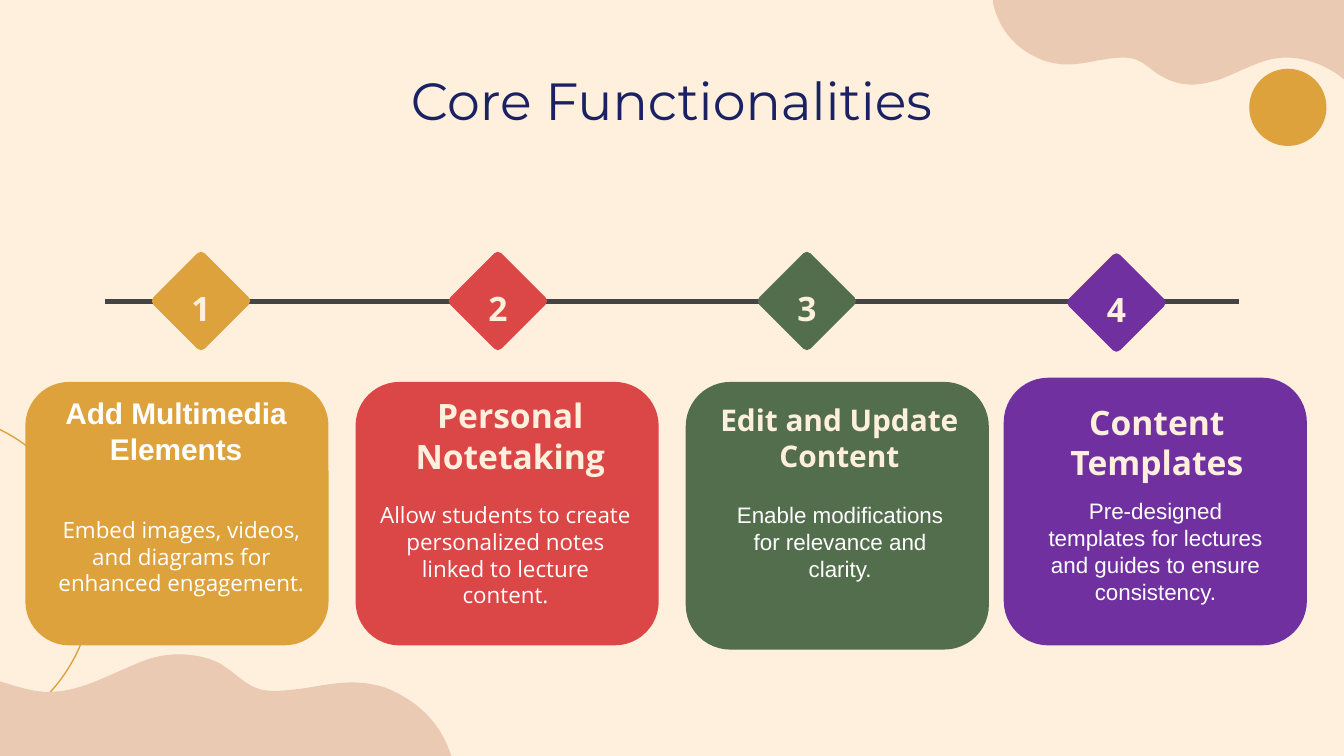
from pptx import Presentation
from pptx.dml.color import RGBColor
from pptx.enum import shapes, text
from pptx.oxml.ns import qn
from pptx.util import Cm, Pt
from lxml import etree

COLORS = dict(cream="FFF0DE", blush="EBCAB3", gold="DEA23C", red="DB4646", green="536E4C",
              purple="7030A0", navy="1A2263", grey="444444", white="FFFFFF")
TITLE = "Core Functionalities"

# All lengths in cm; boxes are (left, top, width, height)
CARD_W = 5.73
CARDS = [
    dict(color="gold", diamond=(3.8, 5.69), card=(0.48, 7.22, CARD_W, 4.98),
         head=("Add Multimedia Elements", (0.98, 7.22, 4.7, 2.16), 16, "Arial", "white"),
         body=("Embed images, videos, and diagrams for enhanced engagement.",
               (0.71, 9.5, 5.41, 3.3), 12, "Open Sans", "white")),
    dict(color="red", diamond=(9.41, 5.69), card=(6.72, 7.22, CARD_W, 4.98),
         head=("Personal Notetaking", (7.17, 7.22, 4.95, 0.74), 18, "Open Sans", "cream"),
         body=("Allow students to create personalized notes linked to lecture content.",
               (6.85, 9.22, 5.38, 3.3), 12, "Open Sans", "white")),
    dict(color="green", diamond=(15.25, 5.69), card=(12.96, 7.22, CARD_W, 5.06),
         head=("Edit and Update Content", (13.35, 7.34, 5.03, 1.07), 16, "Open Sans", "cream"),
         body=("Enable modifications for relevance and clarity.",
               (13.39, 9.22, 4.95, 1.85), 12, "Arial", "white")),
    dict(color="purple", diamond=(21.1, 5.72), card=(18.97, 7.14, CARD_W, 5.06),
         head=("Content Templates", (19.35, 7.34, 5.03, 1.07), 18, "Open Sans", "cream"),
         body=("Pre-designed templates for lectures and guides to ensure consistency.",
               (19.35, 9.15, 4.95, 2.36), 12, "Arial", "white")),
]

# Outlines: two numbers are a corner, six are a cubic curve
TOP_WAVE = [
    (25.4, 0), (25.4, 1.5),
    (25.25, 1.37, 25.1, 1.3, 24.94, 1.22), (24.69, 1.12, 24.49, 1.09, 24.31, 1.09),
    (23.88, 1.09, 23.57, 1.3, 23.06, 1.5), (22.89, 1.55, 22.71, 1.6, 22.53, 1.6),
    (22.33, 1.6, 22.15, 1.55, 21.97, 1.45), (21.69, 1.3, 21.59, 1.09, 21.23, 1.09),
    (20.85, 1.09, 20.52, 1.22, 20.17, 1.22), (20.02, 1.22, 19.86, 1.19, 19.71, 1.14),
    (19.2, 0.94, 18.9, 0.58, 18.77, 0.08), (18.77, 0.05, 18.77, 0.03, 18.77, 0),
]
BOTTOM_WAVE = [
    (3.38, 12.37),
    (3.66, 12.37, 3.94, 12.42, 4.17, 12.55), (4.55, 12.78, 4.7, 13.06, 5.16, 13.06),
    (5.71, 13.06, 6.17, 12.9, 6.65, 12.9), (6.86, 12.9, 7.06, 12.93, 7.29, 13),
    (7.92, 13.26, 8.33, 13.67, 8.53, 14.29), (0, 14.29), (0, 12.88),
    (0.38, 13, 0.66, 13.08, 0.91, 13.08), (1.5, 13.08, 1.96, 12.8, 2.64, 12.52),
    (2.87, 12.42, 3.12, 12.37, 3.38, 12.37),
]
# Rounded top corner of a diamond, around the diamond's centre
DIAMOND_TIP = [(0.07, -0.9), (0.05, -0.92), (0.03, -0.93), (0, -0.93),
               (-0.03, -0.93), (-0.05, -0.92), (-0.07, -0.9)]


def rgb(name):
    return RGBColor.from_string(COLORS[name])


def style(sp, color):
    sp.shadow.inherit = False
    sp.fill.solid()
    sp.fill.fore_color.rgb = rgb(color)
    sp.line.fill.background()
    return sp


def add_shape(kind, box, color):
    return style(slide.shapes.add_shape(kind, *map(Cm, box)), color)


def add_outline(outline, color):
    ends = [(Cm(part[-2]), Cm(part[-1])) for part in outline]
    fb = slide.shapes.build_freeform(*ends[0])
    fb.add_line_segments(ends[1:], close=True)
    sp = fb.convert_to_shape()
    # Turn the segments that have control points into curves
    for seg, part in zip(list(sp._element.iter(qn("a:lnTo"))), outline[1:]):
        if len(part) == 6:
            curve = etree.Element(qn("a:cubicBezTo"))
            for x, y in zip(part[::2], part[1::2]):
                etree.SubElement(curve, qn("a:pt"), x=str(Cm(x) - sp.left), y=str(Cm(y) - sp.top))
            seg.getparent().replace(seg, curve)
    return style(sp, color)


def diamond_outline(cx, cy):
    outline, tip = [], DIAMOND_TIP
    for _ in range(4):
        pts = [(cx + x, cy + y) for x, y in tip]
        outline += [pts[0], sum(pts[1:4], ()), sum(pts[4:], ())]
        tip = [(y, -x) for x, y in tip]
    return outline


def write(sp, words, size, font, color, bold=False, top=0.25, anchor=text.MSO_ANCHOR.TOP):
    tf = sp.text_frame
    tf.word_wrap = True
    tf.vertical_anchor = anchor
    tf.margin_top, tf.margin_bottom = Cm(top), Cm(0.25)
    tf.text = words
    p = tf.paragraphs[0]
    p.alignment = text.PP_ALIGN.CENTER
    f = p.runs[0].font
    f.size, f.name, f.bold, f.color.rgb = Pt(size), font, bold, rgb(color)
    return p


def add_text(words, box, size, font, color, bold=False):
    return write(slide.shapes.add_textbox(*map(Cm, box)), words, size, font, color, bold)


prs = Presentation()
prs.slide_width, prs.slide_height = Cm(25.4), Cm(14.29)
slide = prs.slides.add_slide(prs.slide_layouts[6])
slide.background.fill.solid()
slide.background.fill.fore_color.rgb = rgb("cream")

# Decoration
OVAL = shapes.MSO_SHAPE.OVAL
add_outline(TOP_WAVE, "blush")
ring = add_shape(OVAL, (-4.55, 7.8, 6.32, 6.32), "gold")
ring.fill.background()
ring.line.color.rgb = rgb("gold")
ring.line.width = Pt(0.75)
add_shape(OVAL, (23.61, 1.3, 1.46, 1.46), "gold")
add_outline(BOTTOM_WAVE, "blush")

# Title
add_text(TITLE, (1.97, 1.04, 21.44, 1.6), 28, "Montserrat", "navy")

# Timeline
line = slide.shapes.add_connector(shapes.MSO_CONNECTOR.STRAIGHT,
                                  Cm(1.98), Cm(5.7), Cm(23.42), Cm(5.7))
line.line.color.rgb = rgb("grey")
line.line.width = Pt(3)
etree.SubElement(line._element.spPr, qn("a:effectLst"))

# Numbered diamonds and cards
for number, c in enumerate(CARDS, 1):
    sp = add_outline(diamond_outline(*c["diamond"]), c["color"])
    write(sp, str(number), 18, "Open Sans", "cream", True, 0.51, text.MSO_ANCHOR.MIDDLE)
    add_shape(shapes.MSO_SHAPE.ROUNDED_RECTANGLE, c["card"], c["color"])
    add_text(*c["head"], bold=True)
    p = add_text(*c["body"])
    p._p.get_or_add_pPr().set("marL", str(Cm(0.03)))

prs.save("out.pptx")
